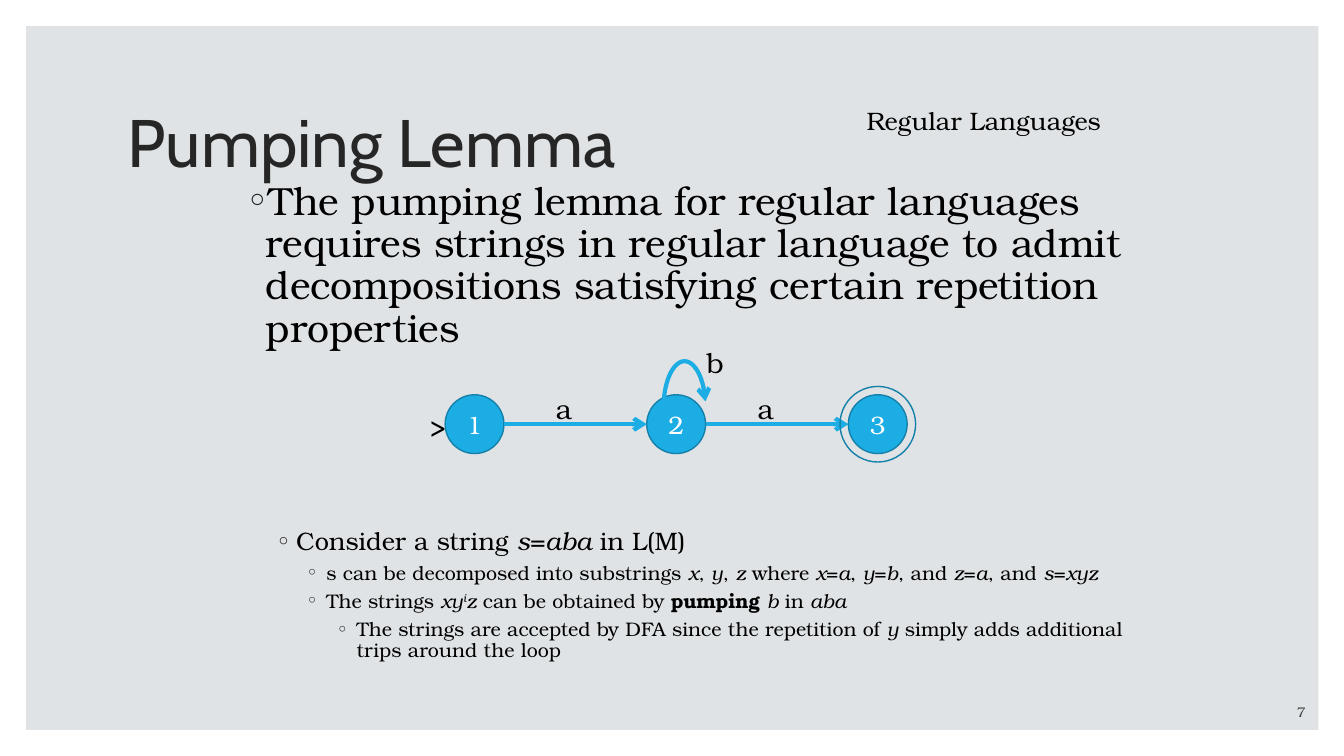
"""Build a slide on the pumping lemma with its three-state automaton."""
from lxml import etree
from pptx import Presentation
from pptx.dml.color import RGBColor
from pptx.enum.shapes import MSO_CONNECTOR, MSO_SHAPE
from pptx.enum.text import MSO_ANCHOR, MSO_AUTO_SIZE, PP_ALIGN
from pptx.oxml.ns import qn
from pptx.util import Pt

STRAIGHT = MSO_CONNECTOR.STRAIGHT
OVAL, ARC, RECT = MSO_SHAPE.OVAL, MSO_SHAPE.ARC, MSO_SHAPE.RECTANGLE
MIDDLE, BOTTOM = MSO_ANCHOR.MIDDLE, MSO_ANCHOR.BOTTOM
LEFT, CENTER, RIGHT = PP_ALIGN.LEFT, PP_ALIGN.CENTER, PP_ALIGN.RIGHT

COLORS = {"panel": "DFE3E5", "title": "262626", "text": "000000", "number": "404040",
          "state": "1CADE4", "outline": "1580A9", "white": "FFFFFF"}
TITLE_FONT, TEXT_FONT = "Cabin", "TeX Gyre Bonum"

TITLE = "Pumping Lemma"
PLAIN, ITALIC, BOLD, POWER = "plain", "italic", "bold", "power"
BULLETS = [
    (0, 28, 9, [("The pumping lemma for regular languages requires strings in regular "
                 "language to admit decompositions satisfying certain repetition "
                 "properties", PLAIN)]),
    (1, 18, 127.4, [("Consider a string ", PLAIN), ("s", ITALIC), ("=", PLAIN),
                    ("aba", ITALIC), (" in L(M)", PLAIN)]),
    (2, 14, 5, [("s can be decomposed into substrings ", PLAIN), ("x", ITALIC),
                (", ", PLAIN), ("y", ITALIC), (", ", PLAIN), ("z", ITALIC),
                (" where ", PLAIN), ("x", ITALIC), ("=", PLAIN), ("a", ITALIC),
                (", ", PLAIN), ("y", ITALIC), ("=", PLAIN), ("b", ITALIC),
                (", and ", PLAIN), ("z", ITALIC), ("=", PLAIN), ("a", ITALIC),
                (", and ", PLAIN), ("s", ITALIC), ("=", PLAIN), ("xyz", ITALIC)]),
    (2, 14, 5, [("The strings ", PLAIN), ("xy", ITALIC), ("i", POWER), ("z", ITALIC),
                (" can be obtained by ", PLAIN), ("pumping ", BOLD), ("b", ITALIC),
                (" in ", PLAIN), ("aba", ITALIC)]),
    (3, 14, 5, [("The strings are accepted by DFA since the repetition of ", PLAIN),
                ("y", ITALIC),
                (" simply adds additional trips around the loop", PLAIN)]),
]
INDENTS = [14.4, 36, 57.6, 79.2]
HANGING = 14.4

STATES = ["1", "2", "3"]
STATE_LEFT, STATE_TOP, STATE_SIZE, STATE_STEP = 318, 282, 42, 144
RING_GAP = 6
LABELS = [("a", 390, 276), ("a", 390 + STATE_STEP, 276), ("b", 497.5, 243.5),
          (">", 300, 288)]


def rgb(name):
    return RGBColor.from_string(COLORS[name])


def style(span, size, color="text", font=TEXT_FONT):
    span.font.size, span.font.name = Pt(size), font
    span.font.color.rgb = rgb(color)


def add_text(text, left, top, width, height, size, color="text", align=LEFT):
    box = page.shapes.add_textbox(Pt(left), Pt(top), Pt(width), Pt(height))
    box.text_frame.word_wrap = True
    box.text_frame.text = text
    para = box.text_frame.paragraphs[0]
    para.alignment = align
    style(para.runs[0], size, color)
    return box


def add_figure(kind, left, top, width, height, fill=None, line=None, weight=1):
    figure = page.shapes.add_shape(kind, Pt(left), Pt(top), Pt(width), Pt(height))
    figure.shadow.inherit = False
    if fill:
        figure.fill.solid()
        figure.fill.fore_color.rgb = rgb(fill)
    else:
        figure.fill.background()
    if line:
        figure.line.color.rgb, figure.line.width = rgb(line), Pt(weight)
    else:
        figure.line.fill.background()
    return figure


def add_arrowhead(figure):
    etree.SubElement(figure.line._get_or_add_ln(), qn("a:tailEnd"), type="arrow")


def add_bullet(para, level):
    props = para._p.get_or_add_pPr()
    props.set("marL", str(Pt(INDENTS[level])))
    props.set("indent", str(-Pt(HANGING)))
    color = etree.SubElement(props, qn("a:buClr"))
    etree.SubElement(color, qn("a:srgbClr"), val=COLORS["title"])
    etree.SubElement(props, qn("a:buFont"), typeface=TITLE_FONT)
    etree.SubElement(props, qn("a:buChar"), char="◦")


deck = Presentation()
deck.slide_width, deck.slide_height = Pt(960), Pt(540)
page = deck.slides.add_slide(deck.slide_layouts[5])

panel = add_figure(RECT, 18.7, 18.7, 923, 502.6, fill="panel")
page.shapes._spTree.insert(2, panel._element)

title = page.shapes.title
title.left, title.top, title.width, title.height = Pt(84.2), Pt(50.4), Pt(792), Pt(108)
title.text_frame.text = TITLE
title.text_frame.auto_size = MSO_AUTO_SIZE.NONE
title.text_frame.vertical_anchor = MIDDLE
heading = title.text_frame.paragraphs[0]
heading.alignment, heading.line_spacing = LEFT, 0.9
style(heading.runs[0], 48, "title", TITLE_FONT)

body = page.shapes.add_textbox(Pt(168.5), Pt(126), Pt(642.2), Pt(378)).text_frame
body.word_wrap = True
for index, (level, size, space, spans) in enumerate(BULLETS):
    para = body.add_paragraph() if index else body.paragraphs[0]
    para.level, para.line_spacing, para.space_before = level, 0.9, Pt(space)
    add_bullet(para, level)
    for text, look in spans:
        span = para.add_run()
        span.text = text
        style(span, size)
        span.font.italic = look in (ITALIC, POWER)
        span.font.bold = look == BOLD
        if look == POWER:
            span.font._element.set("baseline", "30000")

add_text("Regular Languages", 612, 72, 228, 29, 18)

for index, name in enumerate(STATES):
    left = STATE_LEFT + index * STATE_STEP
    state = add_figure(OVAL, left, STATE_TOP, STATE_SIZE, STATE_SIZE, "state", "outline")
    state.text_frame.text = name
    state.text_frame.vertical_anchor = MIDDLE
    state.text_frame.paragraphs[0].alignment = CENTER
    style(state.text_frame.paragraphs[0].runs[0], 18, "white")

middle = STATE_TOP + STATE_SIZE / 2
for index in range(len(STATES) - 1):
    start = STATE_LEFT + index * STATE_STEP + STATE_SIZE
    end = start + STATE_STEP - STATE_SIZE
    arrow = page.shapes.add_connector(STRAIGHT, Pt(start), Pt(middle), Pt(end), Pt(middle))
    arrow.line.color.rgb, arrow.line.width = rgb("state"), Pt(3)
    add_arrowhead(arrow)
    etree.SubElement(arrow._element.spPr, qn("a:effectLst"))

loop = add_figure(ARC, 474, 258, 30, 66, line="state", weight=3)
loop.adjustments[0], loop.adjustments[1] = 116.06, 206.51
add_arrowhead(loop)

for text, left, top in LABELS:
    add_text(text, left, top, 48, 31.5, 20)

ring_size = STATE_SIZE + 2 * RING_GAP
ring_left = STATE_LEFT + (len(STATES) - 1) * STATE_STEP - RING_GAP
add_figure(OVAL, ring_left, STATE_TOP - RING_GAP, ring_size, ring_size, line="outline")

number = add_text("7", 824.4, 496.8, 115.2, 21.6, 10, "number", RIGHT)
number.text_frame.vertical_anchor = BOTTOM

deck.save("out.pptx")
